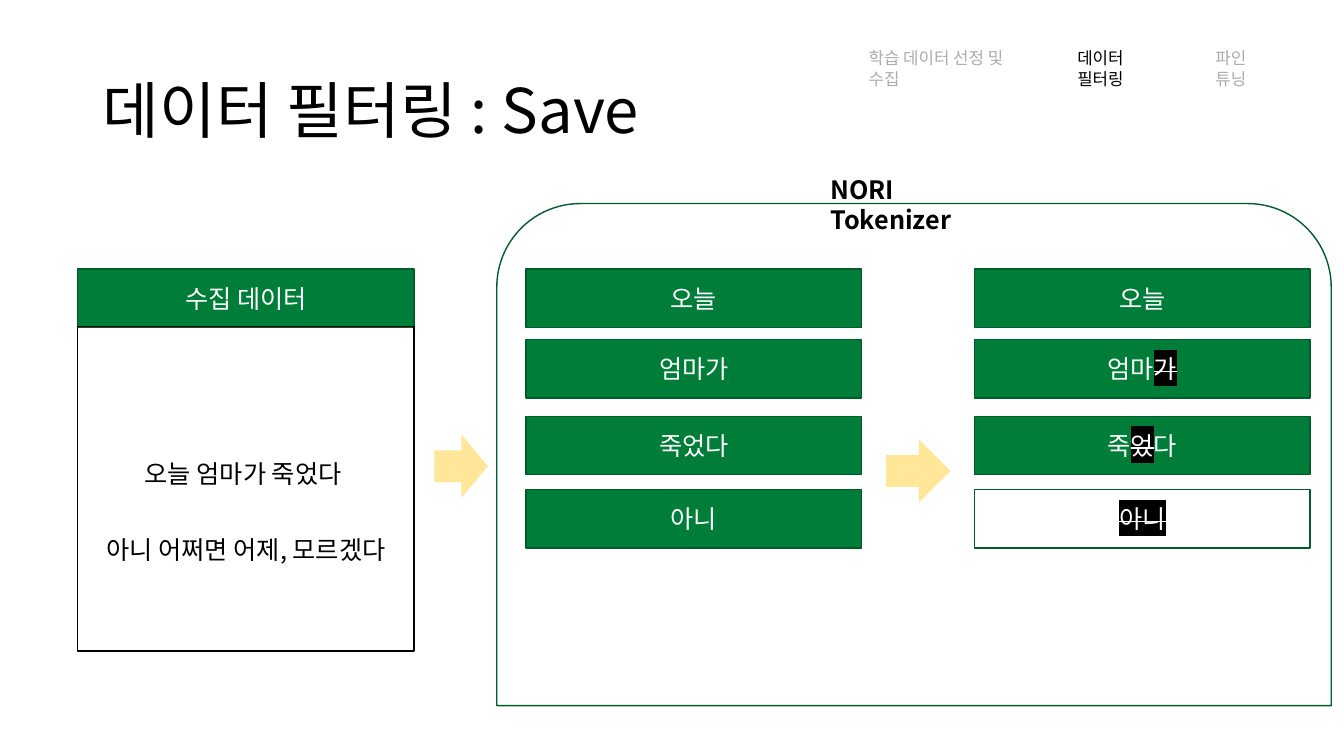
from dataclasses import dataclass

from lxml.etree import SubElement
from pptx import Presentation
from pptx.dml.color import RGBColor
from pptx.enum.shapes import MSO_SHAPE
from pptx.enum.text import MSO_ANCHOR, MSO_AUTO_SIZE, PP_ALIGN
from pptx.oxml.ns import qn
from pptx.shapes.autoshape import Shape
from pptx.slide import Slide
from pptx.util import Cm, Pt


@dataclass(frozen=True)
class Theme:
    font: str = "Noto Sans CJK KR"
    green: str = "007E39"
    dark_green: str = "005D2A"
    yellow: str = "FFE699"
    black: str = "000000"
    white: str = "FFFFFF"
    grey: str = "AFABAB"
    title_size: int = 44
    body_size: int = 18
    step_size: int = 12
    line_width: int = 1


THEME = Theme()


@dataclass(frozen=True)
class Box:
    """A rectangle in centimetres."""
    left: float
    top: float
    width: float
    height: float


@dataclass(frozen=True)
class Piece:
    """Part of a token; a removed part is struck through on black."""
    text: str
    removed: bool = False


@dataclass(frozen=True)
class Token:
    pieces: tuple[Piece, ...]
    fill: str | None = THEME.green


@dataclass(frozen=True)
class TokenColumn:
    left: float
    tokens: tuple[Token, ...]


@dataclass(frozen=True)
class Label:
    text: str
    box: Box
    size: int = THEME.step_size
    color: str = THEME.grey
    bold: bool = False


ROW_TOPS = (6.78, 8.56, 10.49, 12.34)
TOKEN_WIDTH, ROW_HEIGHT = 8.46, 1.47
PANEL = Box(12.52, 5.13, 21.03, 12.65)
TITLE = Box(2.34, 1.02, 29.21, 3.68)
DATA_HEADER = Box(1.96, ROW_TOPS[0], 8.48, ROW_HEIGHT)
DATA_BODY = Box(1.96, 8.23, 8.48, 8.18)
ARROWS = (Box(10.95, 10.95, 1.35, 1.6), Box(22.33, 11.07, 1.63, 1.6))
SENTENCES = ("오늘 엄마가 죽었다 ", "아니 어쩌면 어제, 모르겠다")

COLUMNS = (
    TokenColumn(13.26, tuple(Token((Piece(word),)) for word in ("오늘", "엄마가", "죽었다", "아니"))),
    TokenColumn(24.56, (
        Token((Piece("오늘"),)),
        Token((Piece("엄마"), Piece("가", True))),
        Token((Piece("죽"), Piece("었", True), Piece("다"))),
        Token((Piece("아니", True),), None),
    )),
)

LABELS = (
    Label("NORI Tokenizer", Box(20.68, 4.27, 5.03, 1.02), THEME.body_size, THEME.black, True),
    Label("학습 데이터 선정 및 수집", Box(21.64, 1.09, 4.62, 0.76)),
    Label("데이터 필터링", Box(26.9, 1.09, 2.84, 0.76), color=THEME.black),
    Label("파인 튜닝", Box(30.38, 1.09, 2.08, 0.76)),
)


def lengths(box: Box) -> tuple[Cm, Cm, Cm, Cm]:
    return Cm(box.left), Cm(box.top), Cm(box.width), Cm(box.height)


def format_run(run, size: int, color: str, bold: bool = False, removed: bool = False) -> None:
    run.font.size = Pt(size)
    run.font.bold = bold
    run.font.color.rgb = RGBColor.from_string(color)
    properties = run.font._element
    if removed:
        properties.set("strike", "sngStrike")
        highlight = SubElement(properties, qn("a:highlight"))
        SubElement(highlight, qn("a:srgbClr")).set("val", THEME.black)
    for script in ("a:latin", "a:ea"):
        SubElement(properties, qn(script)).set("typeface", THEME.font)


def add_block(slide: Slide, kind: MSO_SHAPE, box: Box, fill: str | None, line: str | None) -> Shape:
    shape = slide.shapes.add_shape(kind, *lengths(box))
    shape.shadow.inherit = False
    if fill:
        shape.fill.solid()
        shape.fill.fore_color.rgb = RGBColor.from_string(fill)
    else:
        shape.fill.background()
    if line:
        shape.line.color.rgb = RGBColor.from_string(line)
        shape.line.width = Pt(THEME.line_width)
    else:
        shape.line.fill.background()
    return shape


def add_token(slide: Slide, box: Box, token: Token) -> None:
    shape = add_block(slide, MSO_SHAPE.RECTANGLE, box, token.fill, THEME.dark_green)
    shape.text_frame.vertical_anchor = MSO_ANCHOR.MIDDLE
    paragraph = shape.text_frame.paragraphs[0]
    paragraph.alignment = PP_ALIGN.CENTER
    for piece in token.pieces:
        run = paragraph.add_run()
        run.text = piece.text
        format_run(run, THEME.body_size, THEME.white, removed=piece.removed)


def add_collected_data(slide: Slide) -> None:
    add_token(slide, DATA_HEADER, Token((Piece("수집 데이터"),)))
    body = add_block(slide, MSO_SHAPE.RECTANGLE, DATA_BODY, None, THEME.black)
    body.text_frame.vertical_anchor = MSO_ANCHOR.MIDDLE
    body.text_frame.text = "\n".join(SENTENCES)
    for paragraph in body.text_frame.paragraphs:
        paragraph.alignment = PP_ALIGN.CENTER
        paragraph.line_spacing = 2.5
        format_run(paragraph.runs[0], THEME.body_size, THEME.black)


def add_label(slide: Slide, label: Label) -> None:
    frame = slide.shapes.add_textbox(*lengths(label.box)).text_frame
    frame.word_wrap = True
    frame.auto_size = MSO_AUTO_SIZE.SHAPE_TO_FIT_TEXT
    frame.text = label.text
    format_run(frame.paragraphs[0].runs[0], label.size, label.color, label.bold)


def set_title(slide: Slide) -> None:
    title = slide.shapes.title
    title.left, title.top, title.width, title.height = lengths(TITLE)
    frame = title.text_frame
    frame.text = "데이터 필터링 : Save"
    frame.vertical_anchor = MSO_ANCHOR.MIDDLE
    paragraph = frame.paragraphs[0]
    paragraph.alignment = PP_ALIGN.LEFT
    paragraph.line_spacing = 0.9
    format_run(paragraph.runs[0], THEME.title_size, THEME.black)


def main() -> None:
    presentation = Presentation()
    presentation.slide_width, presentation.slide_height = Cm(33.87), Cm(19.05)
    slide = presentation.slides.add_slide(presentation.slide_layouts.get_by_name("Title Only"))
    set_title(slide)
    add_block(slide, MSO_SHAPE.ROUND_2_SAME_RECTANGLE, PANEL, THEME.white, THEME.dark_green)
    add_collected_data(slide)
    for column in COLUMNS:
        for top, token in zip(ROW_TOPS, column.tokens):
            add_token(slide, Box(column.left, top, TOKEN_WIDTH, ROW_HEIGHT), token)
    for arrow in ARROWS:
        add_block(slide, MSO_SHAPE.RIGHT_ARROW, arrow, THEME.yellow, None)
    for label in LABELS:
        add_label(slide, label)
    presentation.save("out.pptx")


if __name__ == "__main__":
    main()
